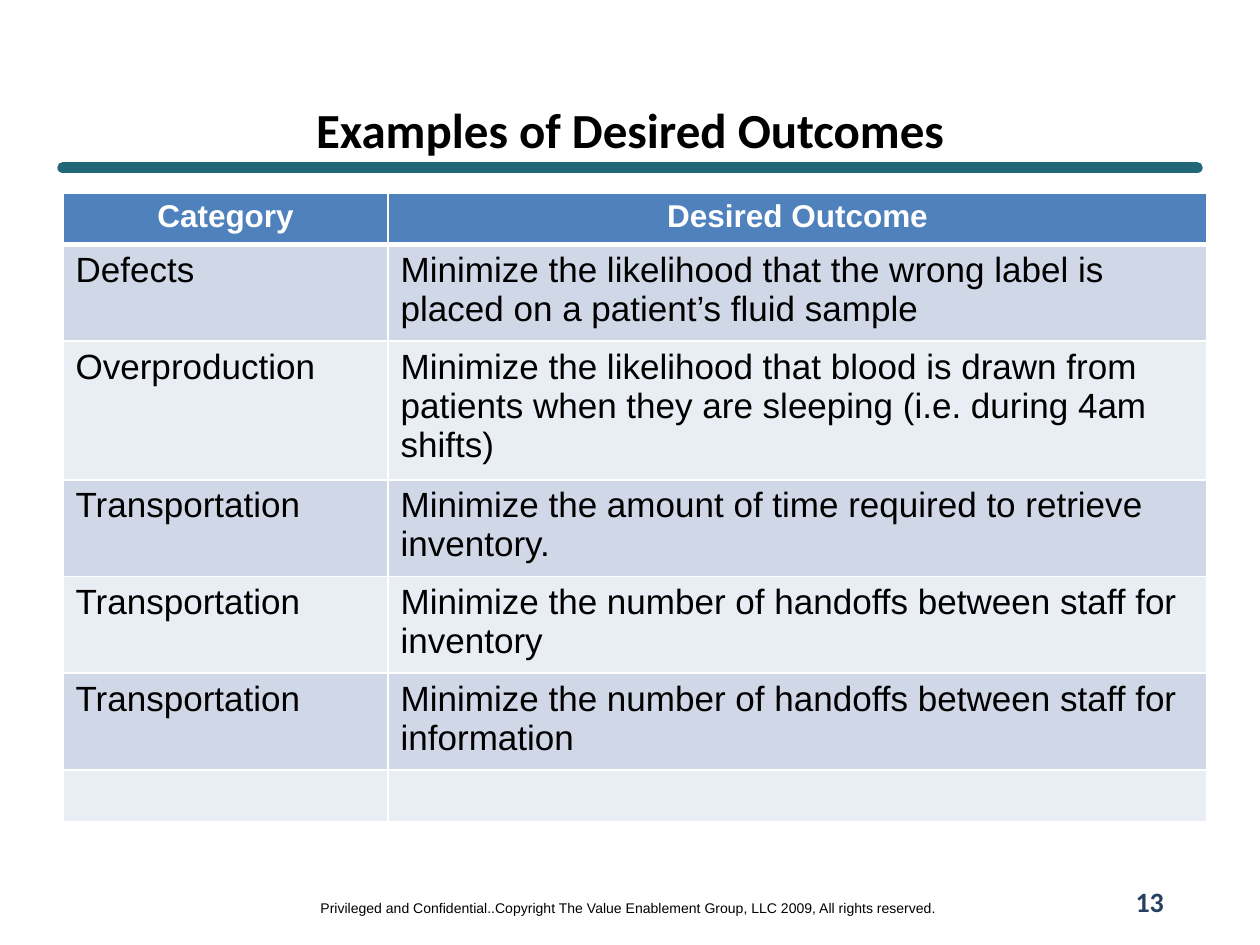
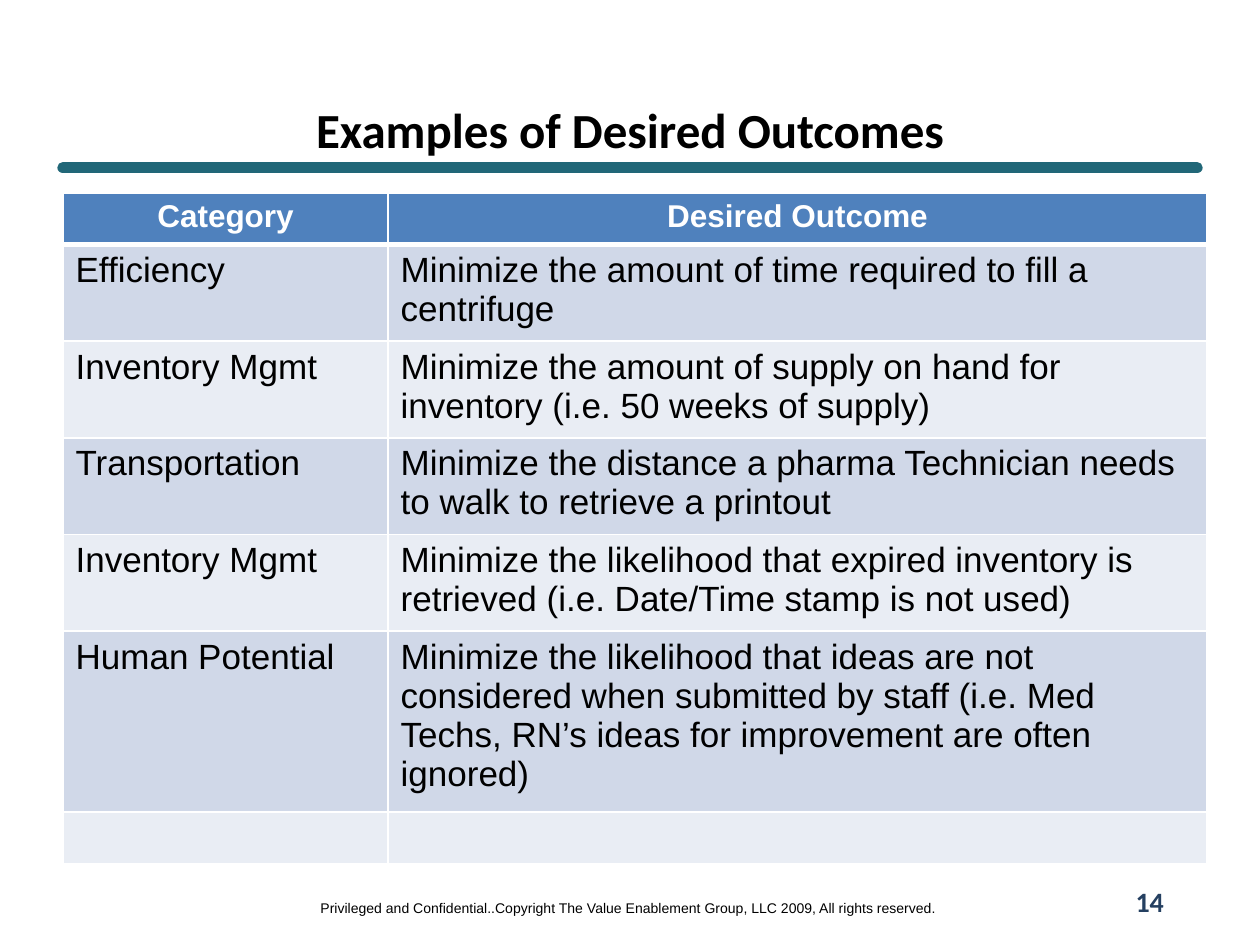
"""Build two table slides with examples of desired outcomes."""
from dataclasses import dataclass

from lxml import etree
from pptx import Presentation
from pptx.dml.color import RGBColor
from pptx.enum.shapes import MSO_CONNECTOR
from pptx.enum.text import MSO_ANCHOR, MSO_AUTO_SIZE, PP_ALIGN
from pptx.oxml.ns import qn
from pptx.util import Pt

LINE = MSO_CONNECTOR.STRAIGHT
MID, TOP = MSO_ANCHOR.MIDDLE, MSO_ANCHOR.TOP
LEFT, CENTER = PP_ALIGN.LEFT, PP_ALIGN.CENTER
FIXED = MSO_AUTO_SIZE.NONE
PX = 9144

TITLE = "Examples of Desired Outcomes"
NOTICE = ("Privileged and Confidential..Copyright The Value Enablement Group, "
          "LLC 2009, All rights reserved.")
HEAD = ("Category", "Desired Outcome")
BLANK = ("", "")
PAGES = [
    {"page": "13", "tall": 464, "rows": [
        ("Defects", "Minimize the likelihood that the wrong label is placed "
                    "on a patient’s fluid sample"),
        ("Overproduction", "Minimize the likelihood that blood is drawn from patients "
                           "when they are sleeping (i.e. during 4am shifts)"),
        ("Transportation", "Minimize the amount of time required to retrieve inventory."),
        ("Transportation", "Minimize the number of handoffs between staff for inventory"),
        ("Transportation", "Minimize the number of handoffs between staff for information"),
        BLANK,
    ]},
    {"page": "14", "tall": 498, "rows": [
        ("Efficiency", "Minimize the amount of time required to fill a centrifuge"),
        ("Inventory Mgmt", "Minimize the amount of supply on hand for inventory "
                           "(i.e. 50 weeks of supply)"),
        ("Transportation", "Minimize the distance a pharma Technician needs to walk "
                           "to retrieve a printout"),
        ("Inventory Mgmt", "Minimize the likelihood that expired inventory is retrieved "
                           "(i.e. Date/Time stamp is not used)"),
        ("Human Potential", "Minimize the likelihood that ideas are not considered when "
                            "submitted by staff (i.e. Med Techs, RN’s ideas for "
                            "improvement are often ignored)"),
        BLANK,
    ]},
]

BOX = {"title": (50, 83, 900, 38), "notice": (241, 709, 516, 24),
       "page": (875, 695, 75, 40)}
RULE = (50, 133, 950, 133)
GRID = (50, 153)
COLS = (258, 650)
ROW = 41


@dataclass(frozen=True)
class Style:
    """Font, size, colour and weight of a run."""
    font: str
    size: int
    ink: str
    bold: bool = False


class Theme:
    """Colours and type sizes."""
    rule, rule_pt = "216778", 6.5
    head, bands = "4F81BD", ("D0D8E8", "E9EDF4")
    edge, thin, thick = "FFFFFF", 1, 3
    title = Style("Calibri", 28, "000000", True)
    page = Style("Calibri", 16, "254061", True)
    notice = Style("Arial", 8, "000000")
    label = Style("Arial", 18, "FFFFFF", True)
    body = Style("Arial", 20, "000000")


def rgb(code):
    """Turn a hex code into a colour."""
    return RGBColor.from_string(code)


def scale(nums):
    """Turn px into EMU."""
    return [n * PX for n in nums]


def write(frame, text, style, align):
    """Write one paragraph with one run."""
    para = frame.paragraphs[0]
    para.alignment = align
    run = para.add_run()
    run.text = text
    font = run.font
    font.name, font.size, font.bold = style.font, Pt(style.size), style.bold
    font.color.rgb = rgb(style.ink)


def add_title(slide):
    """Place and fill the title placeholder."""
    shape = slide.shapes.title
    shape.left, shape.top, shape.width, shape.height = scale(BOX["title"])
    frame = shape.text_frame
    frame.auto_size, frame.vertical_anchor = FIXED, MID
    write(frame, TITLE, Theme.title, CENTER)


def add_text(slide, name, text, style, wrap, anchor):
    """Add a centred text box."""
    frame = slide.shapes.add_textbox(*scale(BOX[name])).text_frame
    frame.word_wrap, frame.vertical_anchor = wrap, anchor
    write(frame, text, style, CENTER)


def add_rule(slide):
    """Add the round-ended rule below the title."""
    rule = slide.shapes.add_connector(LINE, *scale(RULE))
    rule.line.color.rgb = rgb(Theme.rule)
    rule.line.width = Pt(Theme.rule_pt)
    props = rule.element.spPr
    props.find(qn("a:ln")).set("cap", "rnd")
    etree.SubElement(props, qn("a:effectLst"))


def paint(cell, fill, top, bottom):
    """Set the borders and fill of a cell."""
    props = cell._tc.get_or_add_tcPr()
    thin = Theme.thin
    for side, width in (("L", thin), ("R", thin), ("T", top), ("B", bottom)):
        edge = etree.SubElement(props, qn(f"a:ln{side}"), w=str(int(Pt(width))))
        solid = etree.SubElement(edge, qn("a:solidFill"))
        etree.SubElement(solid, qn("a:srgbClr"), val=Theme.edge)
    cell.fill.solid()
    cell.fill.fore_color.rgb = rgb(fill)


def add_grid(slide, rows, tall):
    """Add the table of outcomes."""
    rows = [HEAD, *rows]
    size = scale((*GRID, sum(COLS), ROW * len(rows)))
    shape = slide.shapes.add_table(len(rows), len(COLS), *size)
    table = shape.table
    for col, width in zip(table.columns, scale(COLS)):
        col.width = width
    for r, row in enumerate(rows):
        head = r == 0
        fill = Theme.head if head else Theme.bands[(r - 1) % 2]
        top = Theme.thick if r == 1 else Theme.thin
        bottom = Theme.thick if head else Theme.thin
        for c, text in enumerate(row):
            cell = table.cell(r, c)
            paint(cell, fill, top, bottom)
            if text:
                style, align = (Theme.label, CENTER) if head else (Theme.body, LEFT)
                write(cell.text_frame, text, style, align)
    shape.height = tall * PX


def main():
    """Build and save the deck."""
    deck = Presentation()
    deck.slide_width, deck.slide_height = scale((1000, 750))
    for item in PAGES:
        slide = deck.slides.add_slide(deck.slide_layouts.get_by_name("Title Only"))
        add_rule(slide)
        add_text(slide, "notice", NOTICE, Theme.notice, False, TOP)
        add_title(slide)
        add_text(slide, "page", item["page"], Theme.page, True, MID)
        add_grid(slide, item["rows"], item["tall"])
    deck.save("out.pptx")


if __name__ == "__main__":
    main()
